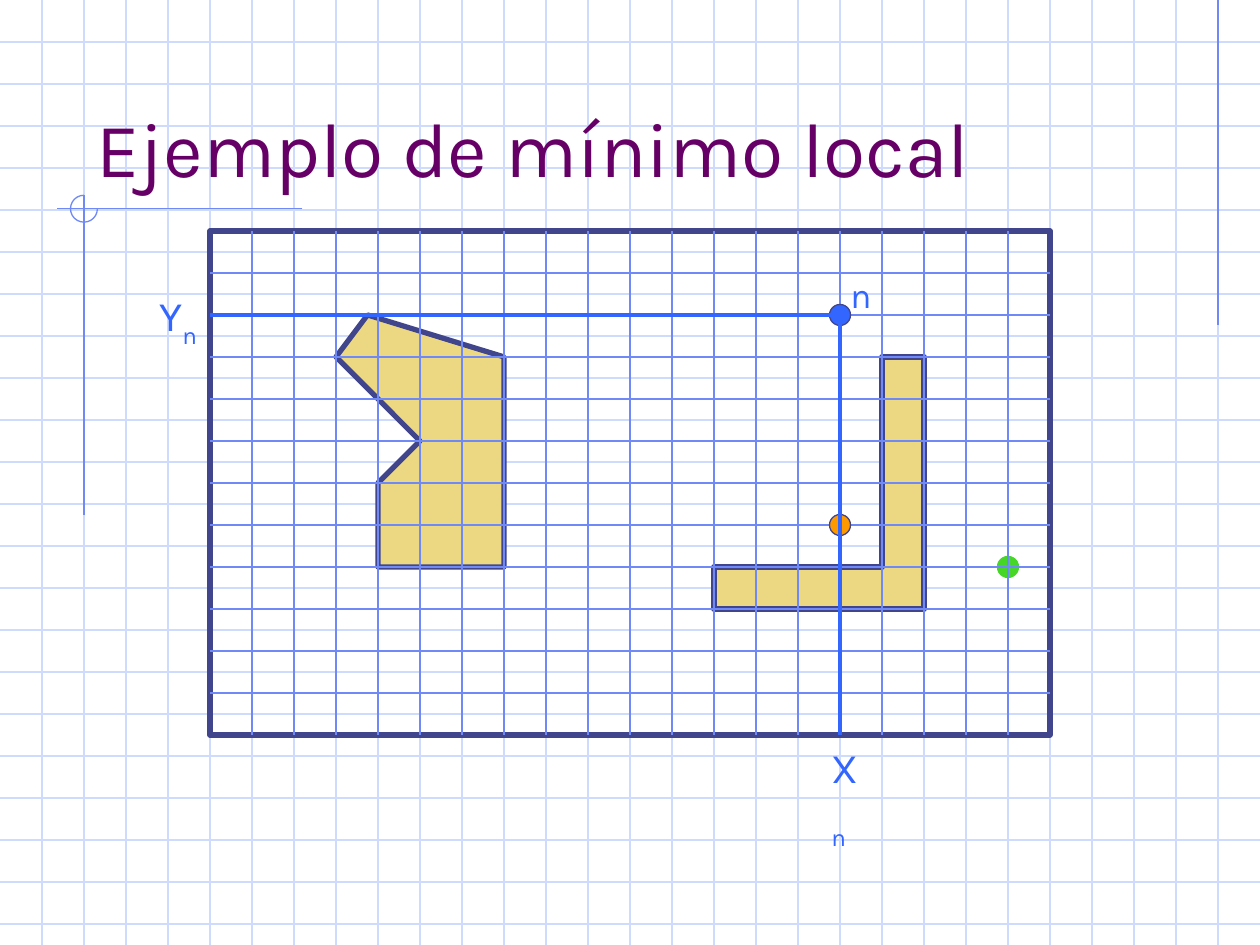
from pptx import Presentation
from pptx.dml.color import RGBColor
from pptx.enum.shapes import MSO_CONNECTOR, MSO_SHAPE
from pptx.enum.text import MSO_ANCHOR
from pptx.util import Cm, Pt
from lxml.etree import SubElement
from pptx.oxml.ns import qn

PALE = RGBColor(0xCF, 0xDB, 0xFD)
SOFT = RGBColor(0x6F, 0x89, 0xF7)
BLUE = RGBColor(0x33, 0x66, 0xFF)
NAVY = RGBColor(0x40, 0x45, 0x8C)
SAND = RGBColor(0xEC, 0xD8, 0x82)
GREEN = RGBColor(0x45, 0xD6, 0x28)
ORANGE = RGBColor(0xFF, 0x99, 0x00)
PLUM = RGBColor(0x66, 0x00, 0x66)

FONT = "Karla"
WIDE, HIGH = 30, 22.5  # slide size in grid cells


def cell(n):
    """Length of n grid cells, three to the inch."""
    return Cm(n * 2.54 / 3)


class Page:
    def __init__(self, slide):
        self.slide = slide
        self.shapes = slide.shapes

    def line(self, x1, y1, x2, y2, color, width=0.75):
        line = self.shapes.add_connector(
            MSO_CONNECTOR.STRAIGHT, cell(x1), cell(y1), cell(x2), cell(y2))
        line.line.color.rgb = color
        line.line.width = Pt(width)
        SubElement(line._element.spPr, qn("a:effectLst"))

    def grid(self, x, y, w, h, rows, cols, color):
        for row in rows:
            self.line(x, row, x + w, row, color)
        for col in cols:
            self.line(col, y, col, y + h, color)

    def paint(self, shape, fill, color, width):
        shape.shadow.inherit = False
        if fill is None:
            shape.fill.background()
        else:
            shape.fill.solid()
            shape.fill.fore_color.rgb = fill
        shape.line.color.rgb = color
        shape.line.width = Pt(width)
        return shape

    def shape(self, kind, x, y, w, h, fill, color, width=0.75):
        shape = self.shapes.add_shape(kind, cell(x), cell(y), cell(w), cell(h))
        return self.paint(shape, fill, color, width)

    def dot(self, x, y, fill, color):
        self.shape(MSO_SHAPE.OVAL, x - 0.25, y - 0.25, 0.5, 0.5, fill, color)

    def block(self, points):
        first, *rest = [(cell(x), cell(y)) for x, y in points]
        form = self.shapes.build_freeform(*first)
        form.add_line_segments(rest, close=True)
        self.paint(form.convert_to_shape(), SAND, NAVY, 3)

    def text(self, x, y, w, h, text, size, color, sub="", wrap=False,
             anchor=MSO_ANCHOR.TOP):
        box = self.shapes.add_textbox(cell(x), cell(y), cell(w), cell(h))
        frame = box.text_frame
        frame.word_wrap = wrap
        frame.vertical_anchor = anchor
        para = frame.paragraphs[0]
        para.text = text
        para.font.name = FONT
        para.font.size = Pt(size)
        para.font.color.rgb = color
        if sub:
            run = para.add_run()
            run.text = sub
            run._r.get_or_add_rPr().set("baseline", "-30000")


def main():
    deck = Presentation()
    deck.slide_width, deck.slide_height = cell(WIDE), cell(HIGH)
    page = Page(deck.slides.add_slide(deck.slide_layouts[6]))

    # Squared paper
    page.grid(0, 0, WIDE, HIGH, range(1, 23), range(1, WIDE), PALE)

    # Margin lines and open circle
    page.line(29, 0, 29, 7.75, SOFT)
    page.line(7.2, 4.97, 1.35, 4.97, SOFT)
    page.line(2, 4.65, 2, 12.27, SOFT)
    arc = page.shape(MSO_SHAPE.ARC, 1.68, 4.65, 0.64, 0.64, None, SOFT)
    arc.adjustments[0] = 0
    arc.adjustments[1] = 162  # 270 degrees

    # Title
    page.text(2, 1, 25.5, 3.75, "Ejemplo de mínimo local", 44, PLUM,
              wrap=True, anchor=MSO_ANCHOR.BOTTOM)

    # Map with obstacles and goal
    x, y, w, h = 5, 5.5, 20, 12
    page.shape(MSO_SHAPE.RECTANGLE, x, y, w, h, None, NAVY, 3)
    page.block([(8, 8.5), (10, 10.5), (9, 11.5), (9, 13.5), (12, 13.5),
                (12, 8.5), (8.75, 7.5)])
    page.block([(17, 13.5), (17, 14.5), (22, 14.5), (22, 8.5), (21, 8.5),
                (21, 13.5)])
    page.dot(24, 13.5, GREEN, GREEN)
    page.grid(x, y, w, h, [y + i for i in range(1, h)],
              [x + i for i in range(1, w)], SOFT)

    # Local minimum, node n and its coordinates
    nx, ny = 20, 7.5
    page.dot(nx, 12.5, ORANGE, NAVY)
    page.dot(nx, ny, BLUE, NAVY)
    page.text(19.5, 17.5, 1.53, 1.7, "X\v", 24, BLUE, "n", wrap=True)
    page.text(3.5, 6.75, 1.53, 1.7, "Y", 24, BLUE, "n")
    page.line(nx, ny, x, ny, BLUE, 2.25)
    page.line(nx, ny, nx, y + h, BLUE, 2.25)
    page.text(19.95, 6.36, 1.1, 1.32, "n", 20, BLUE)

    deck.save("out.pptx")


if __name__ == "__main__":
    main()
